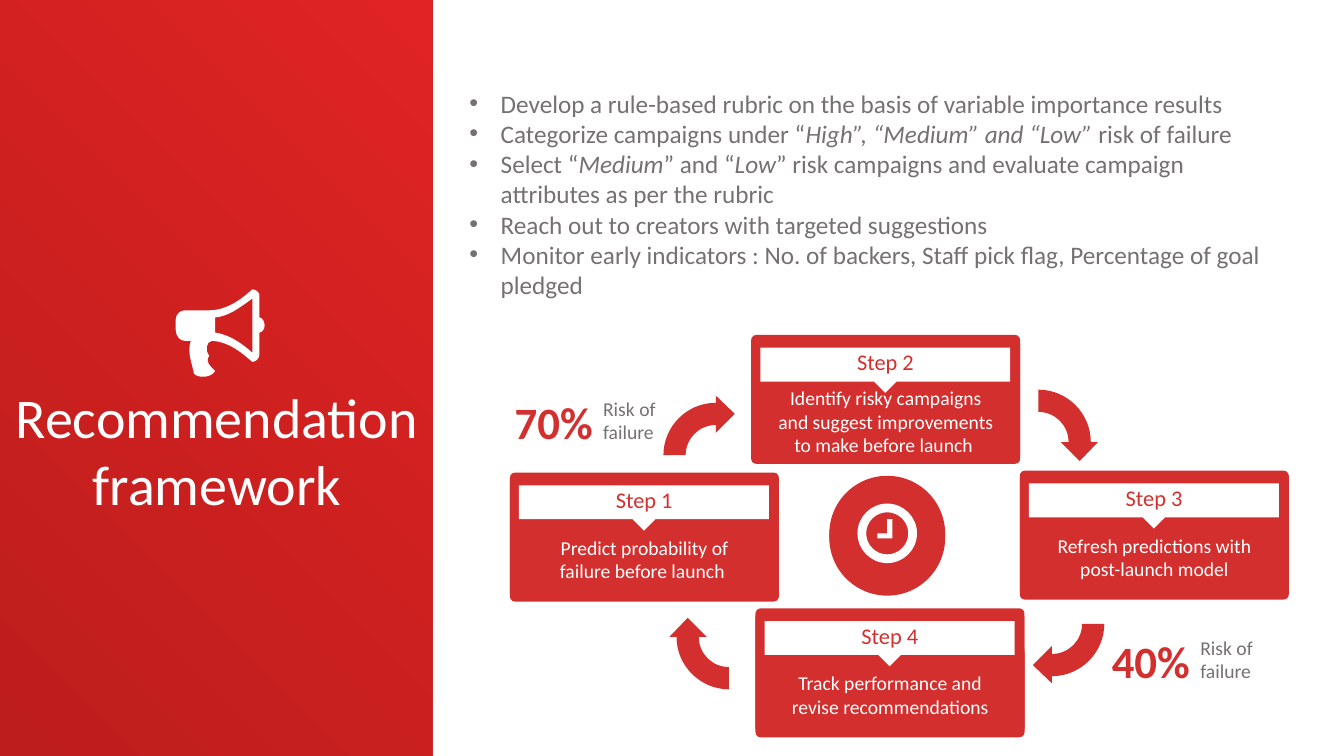
from lxml.etree import Element, SubElement
from pptx import Presentation
from pptx.dml.color import RGBColor
from pptx.enum.shapes import MSO_SHAPE
from pptx.enum.text import MSO_ANCHOR, MSO_AUTO_SIZE, PP_ALIGN
from pptx.oxml.ns import qn
from pptx.util import Cm, Pt

COLORS = {"red": "D42F2F", "dark": "BD1D1D", "bright": "E02323", "white": "FFFFFF", "gray": "767171"}


def rgb(name):
    return RGBColor.from_string(COLORS[name])


def pairs(segment):
    return list(zip(segment[::2], segment[1::2]))


def turn(segment, quarters):
    """Rotate a segment clockwise around the origin."""
    for _ in range(quarters):
        segment = tuple(value for x, y in pairs(segment) for value in (-y, x))
    return segment


def quarter(radius):
    """Curve from the left end of a circle to its top."""
    handle = 0.55 * radius
    return -radius, -handle, -handle, -radius, 0, -radius


def circle(radius):
    return [(-radius, 0)] + [turn(quarter(radius), i) for i in range(4)]


class SlideBuilder:
    font = "Calibri"

    def __init__(self, slide):
        self.shapes = slide.shapes

    def finish(self, shape, color):
        shape.shadow.inherit = False
        shape.line.fill.background()
        if color:
            shape.fill.solid()
            shape.fill.fore_color.rgb = rgb(color)
        return shape

    def shape(self, kind, box, color=None, adjustments=()):
        shape = self.shapes.add_shape(kind, *map(Cm, box))
        for i, value in enumerate(adjustments):
            shape.adjustments[i] = value
        return self.finish(shape, color)

    def drawing(self, origin, contours, color):
        """Draw contours: pairs are lines, sextuples are Bezier curves."""
        builder = self.shapes.build_freeform(*map(Cm, contours[0][0]))
        for i, (start, *segments) in enumerate(contours):
            if i:
                builder.move_to(*map(Cm, start))
            builder.add_line_segments([(Cm(x), Cm(y)) for s in segments for x, y in pairs(s)], close=True)
        shape = self.finish(builder.convert_to_shape(*map(Cm, origin)), color)
        lines = iter(list(shape._element.iter(qn("a:lnTo"))))
        for segment in (s for contour in contours for s in contour[1:]):
            nodes = [next(lines) for _ in pairs(segment)]
            if len(nodes) == 3:
                curve = Element(qn("a:cubicBezTo"))
                nodes[0].addprevious(curve)
                for node in nodes:
                    curve.append(node[0])
                    node.getparent().remove(node)

    def text(self, lines, box, size, color, bold=False, align=PP_ALIGN.LEFT,
             anchor=MSO_ANCHOR.TOP, wrap=True, inset=True, bullet=False):
        """Write one paragraph per line; words between asterisks are italic."""
        frame = self.shapes.add_textbox(*map(Cm, box)).text_frame
        frame.word_wrap = wrap
        frame.auto_size = MSO_AUTO_SIZE.SHAPE_TO_FIT_TEXT
        frame.vertical_anchor = anchor
        if not inset:
            frame.margin_left = frame.margin_right = frame.margin_top = frame.margin_bottom = 0
        for i, line in enumerate(lines):
            paragraph = frame.add_paragraph() if i else frame.paragraphs[0]
            paragraph.alignment = align
            if bullet:
                properties = paragraph._p.get_or_add_pPr()
                properties.set("marL", str(Cm(0.79)))
                properties.set("indent", str(-Cm(0.79)))
                SubElement(properties, qn("a:buFont")).set("typeface", "Arial")
                SubElement(properties, qn("a:buChar")).set("char", "•")
            for j, part in enumerate(line.split("*")):
                if not part:
                    continue
                run = paragraph.add_run()
                run.text = part
                run.font.name, run.font.size = self.font, Pt(size)
                run.font.bold, run.font.italic = bold, j % 2 == 1
                run.font.color.rgb = rgb(color)

    def raised(self, kind, box, adjustments=()):
        """Two red layers, the upper one shifted up a little."""
        x, y, width, height = box
        for drop in (0.1, 0):
            self.shape(kind, (x, y + drop, width, height), "red", adjustments)

    def step(self, number, x, y, message, lines):
        self.raised(MSO_SHAPE.ROUNDED_RECTANGLE, (x, y, 6.78, 3.15), [0.041])
        self.shape(MSO_SHAPE.DOWN_ARROW_CALLOUT, (x + 0.23, y + 0.32, 6.3, 1.14), "white",
                   [0.25, 0.25, 0.25, 0.75])
        centered = dict(align=PP_ALIGN.CENTER, anchor=MSO_ANCHOR.MIDDLE, inset=False)
        self.text([f"Step {number}"], (x + 2.66, y + 0.33, 1.45, 0.69), 16, "red", wrap=False, **centered)
        height = 0.6 * lines
        self.text([message], (x + 0.59, y + 2.18 - height / 2, 5.61, height), 14, "white", **centered)

    def turn_arrow(self, x, y, quarters):
        inner = (0, -0.42, -0.42, 0)
        segments = [(-1.32, 0), quarter(1.32), (0, -1.5), (0.48, -1.04), (0, -0.56), (0, -0.76),
                    (inner[1], -0.76, -0.76, inner[2], -0.76, 0)]
        self.drawing((x, y), [[turn(segment, quarters) for segment in segments]], "red")

    def risk(self, share, x, y):
        low = dict(anchor=MSO_ANCHOR.BOTTOM, inset=False)
        self.text([share], (x, y, 2.21, 1.37), 32, "red", bold=True, **low)
        self.text(["Risk of failure"], (x + 2.23, y + 0.06, 1.83, 1.19), 14, "gray", **low)


def main():
    deck = Presentation()
    deck.slide_width, deck.slide_height = Cm(33.87), Cm(19.05)
    page = SlideBuilder(deck.slides.add_slide(deck.slide_layouts[6]))

    # Title panel
    panel = page.shape(MSO_SHAPE.RECTANGLE, (0, 0, 10.9, 19.05))
    panel.fill.gradient()
    panel.fill.gradient_angle = 45
    for stop, color, position in zip(panel.fill.gradient_stops, ("dark", "bright"), (0, 1)):
        stop.color.rgb, stop.position = rgb(color), position
    page.text(["Recommendation", "framework"], (-0.58, 9.52, 12.09, 3.68), 40, "white",
              align=PP_ALIGN.CENTER)

    # Recommendations
    page.text([
        "Develop a rule-based rubric on the basis of variable importance results",
        "Categorize campaigns under “*High”, “Medium” and “Low” *risk of failure",
        "Select “*Medium*” and “*Low*” risk campaigns and evaluate campaign attributes as per the rubric",
        "Reach out to creators with targeted suggestions",
        "Monitor early indicators : No. of backers, Staff pick flag, Percentage of goal pledged",
    ], (11.58, 2.09, 20.57, 5.64), 18, "gray", bullet=True)

    # Megaphone
    horn = [
        (2.24, 0.91), (2.24, 1.02, 2.16, 1.09, 2.11, 1.09), (2.11, 1.63),
        (2.11, 1.75, 2.01, 1.83, 1.93, 1.83), (1.7, 1.63, 1.35, 1.32, 0.91, 1.3),
        (0.76, 1.32, 0.74, 1.55, 0.84, 1.68), (0.74, 1.83, 0.86, 1.93, 0.99, 2.06),
        (0.89, 2.24, 0.56, 2.24, 0.46, 2.13), (0.41, 1.85, 0.28, 1.6, 0.38, 1.3),
        (0.23, 1.3), (0.1, 1.3, 0, 1.17, 0, 1.02), (0, 0.76), (0, 0.64, 0.1, 0.53, 0.23, 0.53),
        (0.84, 0.53), (1.3, 0.53, 1.68, 0.23, 1.93, 0), (2.01, 0, 2.11, 0.08, 2.11, 0.15),
        (2.11, 0.71), (2.16, 0.71, 2.24, 0.79, 2.24, 0.91)]
    opening = [(1.93, 0.23), (1.6, 0.48, 1.3, 0.69, 0.99, 0.71), (0.99, 1.09),
               (1.3, 1.14, 1.6, 1.3, 1.93, 1.6)]
    page.drawing((4.43, 7.29), [horn, opening], "white")

    # Cycle of steps
    steps = [
        (12.85, 11.91, "Predict probability of failure before launch ", 2),
        (18.93, 8.44, "Identify risky campaigns and suggest improvements to make before launch ", 3),
        (25.7, 11.86, "Refresh predictions with post-launch model", 2),
        (19.04, 15.33, "Track performance and revise recommendations", 2),
    ]
    for number, step in enumerate(steps, 1):
        page.step(number, *step)
    arrow_centers = [(18.04, 11.47), (26.17, 11.14), (26.51, 15.72), (18.37, 16.05)]
    for quarters, center in enumerate(arrow_centers):
        page.turn_arrow(*center, quarters)

    # Clock
    page.raised(MSO_SHAPE.OVAL, (20.9, 11.99, 2.92, 2.92))
    hands = [(0, -0.36), (0.13, -0.36), (0.13, 0.13), (-0.25, 0.13), (-0.25, 0), (0, 0)]
    page.drawing((22.36, 13.44), [circle(0.75), circle(0.53), hands], "white")

    # Risk of failure
    page.risk("70%", 12.97, 9.93)
    page.risk("40%", 28.02, 15.95)

    deck.save("out.pptx")


if __name__ == "__main__":
    main()
